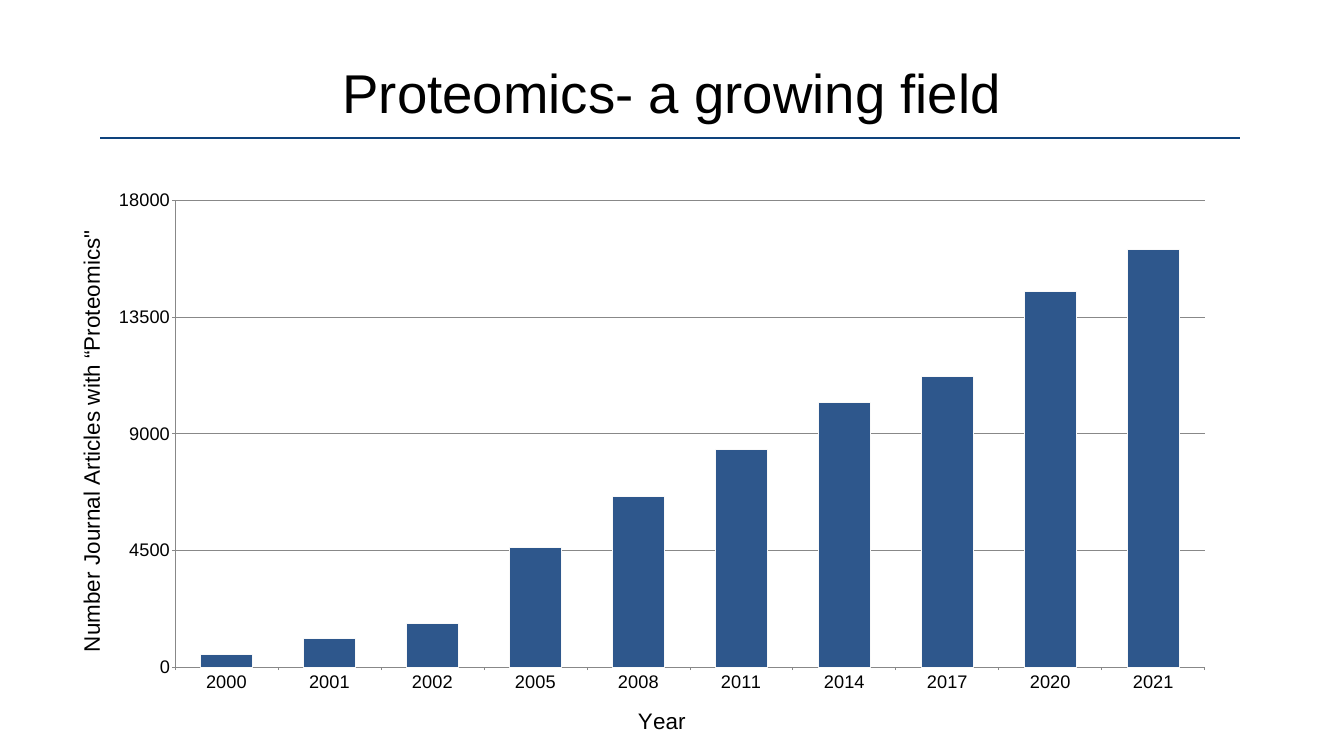
from dataclasses import dataclass
from typing import Any

import lxml.etree
import pptx
import pptx.chart.data
import pptx.dml.color
import pptx.enum.chart
import pptx.enum.shapes
import pptx.enum.text
import pptx.oxml.ns
import pptx.util

Inches = pptx.util.Inches
Pt = pptx.util.Pt
RGBColor = pptx.dml.color.RGBColor
qn = pptx.oxml.ns.qn

BLACK = RGBColor(0x00, 0x00, 0x00)
GRAY = RGBColor(0x88, 0x88, 0x88)
RULE_BLUE = RGBColor(0x0E, 0x43, 0x7D)
BAR_BLUE = RGBColor(0x2E, 0x57, 0x8C)
BAR_EDGE = RGBColor(0xF9, 0xF9, 0xF9)

ARTICLES_BY_YEAR = {
    "2000": 500, "2001": 1100, "2002": 1700, "2005": 4600, "2008": 6600,
    "2011": 8400, "2014": 10200, "2017": 11200, "2020": 14500, "2021": 16100,
}
PLOT_AREA = {"x": 0.09, "y": 0.038, "w": 0.905, "h": 0.83}


@dataclass
class AxisStyle:
    title: str
    number_format: str
    label_position: Any
    gridlines: bool


YEAR_AXIS = AxisStyle("Year", "General", pptx.enum.chart.XL_TICK_LABEL_POSITION.LOW, False)
COUNT_AXIS = AxisStyle('Number Journal Articles with “Proteomics"', "0",
                       pptx.enum.chart.XL_TICK_LABEL_POSITION.NEXT_TO_AXIS, True)


def apply_format(target: Any, values: dict[str, Any]) -> None:
    for name, value in values.items():
        setattr(target, name, value)


def format_font(font: Any, size: float) -> None:
    apply_format(font, {"name": "Arial", "size": Pt(size), "bold": False})
    font.color.rgb = BLACK


def format_line(line: Any, color: RGBColor, width: float) -> None:
    line.color.rgb = color
    line.width = Pt(width)


def format_axis(axis: Any, style: AxisStyle) -> None:
    apply_format(axis, {
        "has_title": True,
        "has_major_gridlines": style.gridlines,
        "major_tick_mark": pptx.enum.chart.XL_TICK_MARK.OUTSIDE,
        "minor_tick_mark": pptx.enum.chart.XL_TICK_MARK.NONE,
        "tick_label_position": style.label_position,
    })
    apply_format(axis.tick_labels, {"number_format": style.number_format,
                                    "number_format_is_linked": False})
    format_font(axis.tick_labels.font, 26)
    format_line(axis.format.line, GRAY, 1)
    if style.gridlines:
        format_line(axis.major_gridlines.format.line, GRAY, 1)
    span = axis.axis_title.text_frame.paragraphs[0].add_run()
    span.text = style.title
    format_font(span.font, 32)


def fix_plot_area(chart: Any) -> None:
    """Pin the inner plot area to fractions of the chart frame."""
    plot_area = chart.element.find(".//" + qn("c:plotArea"))
    for old_layout in plot_area.findall(qn("c:layout")):
        plot_area.remove(old_layout)
    layout = lxml.etree.Element(qn("c:layout"))
    manual = lxml.etree.SubElement(layout, qn("c:manualLayout"))
    settings = {"layoutTarget": "inner", "xMode": "edge", "yMode": "edge", **PLOT_AREA}
    for tag, value in settings.items():
        lxml.etree.SubElement(manual, qn(f"c:{tag}")).set("val", str(value))
    plot_area.insert(0, layout)


def add_article_chart(page: Any) -> None:
    data = pptx.chart.data.CategoryChartData()
    data.categories = list(ARTICLES_BY_YEAR)
    data.add_series("Series 1", list(ARTICLES_BY_YEAR.values()))
    chart = page.shapes.add_chart(
        pptx.enum.chart.XL_CHART_TYPE.COLUMN_CLUSTERED,
        Inches(1.44), Inches(3.55), Inches(22.58), Inches(11.16), data).chart
    apply_format(chart, {"has_title": False, "has_legend": False})
    format_font(chart.font, 10)

    format_axis(chart.category_axis, YEAR_AXIS)
    format_axis(chart.value_axis, COUNT_AXIS)
    apply_format(chart.value_axis, {"minimum_scale": 0, "maximum_scale": 18000,
                                    "major_unit": 4500})
    for body in chart.element.xpath(".//c:valAx/c:title//a:bodyPr"):
        body.set("rot", "-5400000")
        body.set("vert", "horz")

    plot = chart.plots[0]
    apply_format(plot, {"gap_width": 100, "vary_by_categories": False})
    bars = plot.series[0].format
    bars.fill.solid()
    bars.fill.fore_color.rgb = BAR_BLUE
    format_line(bars.line, BAR_EDGE, 0.75)
    fix_plot_area(chart)


def add_title_rule(page: Any) -> None:
    rule = page.shapes.add_connector(
        pptx.enum.shapes.MSO_CONNECTOR.STRAIGHT,
        Inches(1.99), Inches(2.74), Inches(24.6), Inches(2.74))
    format_line(rule.line, RULE_BLUE, 4)
    lxml.etree.SubElement(rule.element.spPr, qn("a:effectLst"))


def format_title(page: Any) -> None:
    title = page.shapes.title
    apply_format(title, {"left": Inches(1.85), "top": Inches(1.16),
                         "width": Inches(22.96), "height": Inches(1.26)})
    apply_format(title.text_frame, {
        "margin_left": 0, "margin_top": 0, "margin_right": 0, "margin_bottom": 0,
        "word_wrap": True,
        "auto_size": pptx.enum.text.MSO_AUTO_SIZE.NONE,
        "vertical_anchor": pptx.enum.text.MSO_ANCHOR.TOP,
    })
    para = title.text_frame.paragraphs[0]
    para.alignment = pptx.enum.text.PP_ALIGN.CENTER
    span = para.add_run()
    span.text = "Proteomics- a growing field"
    format_font(span.font, 78)


def main() -> None:
    deck = pptx.Presentation()
    apply_format(deck, {"slide_width": Inches(26.67), "slide_height": Inches(15)})
    page = deck.slides.add_slide(deck.slide_layouts.get_by_name("Title Only"))
    format_title(page)
    add_article_chart(page)
    add_title_rule(page)
    deck.save("out.pptx")


if __name__ == "__main__":
    main()
